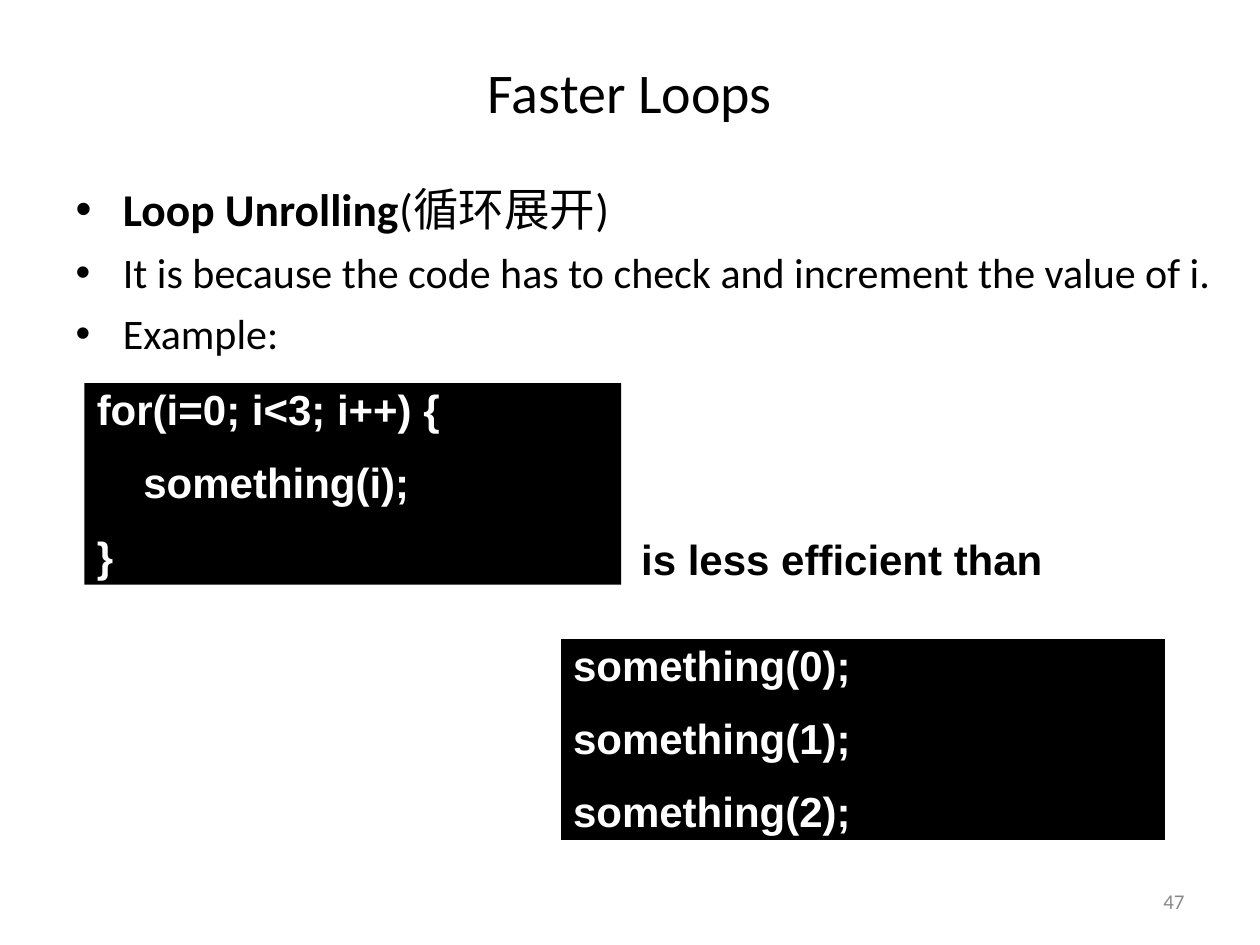
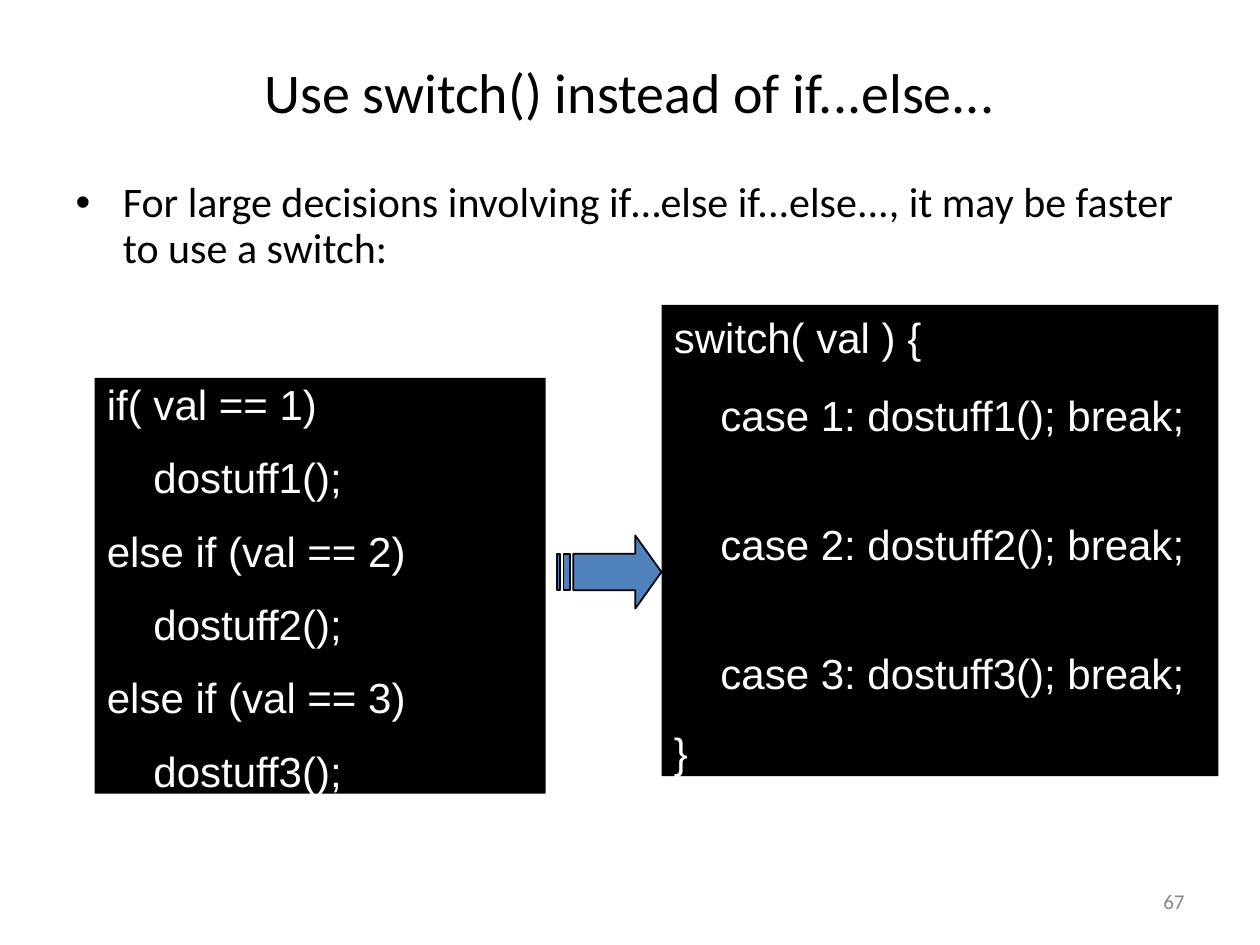
from pptx import Presentation
from pptx import util as u
from pptx.dml.color import RGBColor
from pptx.enum import shapes, text

COLORS = {"ink": "000000", "paper": "FFFFFF", "number": "898989", "arrow": "4F81BD"}

# Shared formats
TITLE = {"name": "Calibri", "size": u.Pt(32), "bold": False}
LEAD = {"name": "Calibri", "size": u.Pt(26), "bold": False}
BODY = {"name": "Calibri", "size": u.Pt(24), "bold": False}
NUMBER = {"name": "Calibri", "size": u.Pt(12), "bold": False}
CODE = {"name": "Arial", "size": u.Pt(24), "bold": False}
BOLD_CODE = CODE | {"bold": True}
CODE_GAP, CASE_GAP = 16, 45

# Content: a line is a list of (words, format) spans
PAGES = [
    {
        "title": "Faster Loops",
        "number": "47",
        "body_at": (0.5, 1.39, 9.23, 5.31),
        "body_spacing": 1.0,
        "body": [
            [("Loop Unrolling", LEAD | {"bold": True}), ("(循环展开)", LEAD)],
            [("It is because the code has to check and increment the value of i.", BODY)],
            [("Example:", BODY)],
        ],
        "code": [
            {"at": (0.67, 3.04, 4.26, 1.6), "format": BOLD_CODE,
             "lines": ["for(i=0; i<3; i++) {", "    something(i);", "}"]},
            {"at": (4.45, 5.07, 4.8, 1.6), "format": BOLD_CODE, "edge": 0.75,
             "lines": [f"something({i});" for i in range(3)]},
        ],
        "remark": ("is less efficient than", (4.99, 4.23, 3.48, 0.46)),
    },
    {
        "title": "Use switch() instead of if...else...",
        "number": "67",
        "body_at": (0.5, 1.39, 9, 1.33),
        "body_spacing": 0.9,
        "body": [[("For large decisions involving if…else if...else..., "
                   "it may be faster to use a switch:", BODY)]],
        "code": [
            {"at": (0.75, 3, 3.58, 3.3), "format": CODE,
             "lines": ["if( val == 1)", "    dostuff1();",
                       "else if (val == 2)", "    dostuff2();",
                       "else if (val == 3)", "    dostuff3();"]},
            {"at": (5.25, 2.42, 4.42, 3.74), "format": CODE, "spacing": 1.0,
             "gaps": [0, CODE_GAP, CASE_GAP, CASE_GAP, CODE_GAP],
             "lines": ["switch( val ) {",
                       *(f"    case {i}: dostuff{i}(); break;" for i in (1, 2, 3)),
                       "}"]},
        ],
        "arrow_at": (4.42, 4.25, 0.83, 0.58),
    },
]

# Striped arrow on a grid of 32 columns and 4 rows
ARROW_GRID = (32, 4)
ARROW_OUTLINES = [
    [(24, 0), (24, 1), (5, 1), (5, 3), (24, 3), (24, 4), (32, 2)],
    [(2, 1), (2, 3), (4, 3), (4, 1)],
    [(0, 1), (0, 3), (1, 3), (1, 1)],
]


def rgb(color):
    return RGBColor.from_string(COLORS[color])


def place(box, at):
    for side, length in zip(("left", "top", "width", "height"), at):
        setattr(box, side, u.Inches(length))


def write(box, lines, color, gaps=None, spacing=None, align=None):
    """Fill a box with lines of formatted spans."""
    frame = box.text_frame
    frame.auto_size = text.MSO_AUTO_SIZE.NONE
    for index, line in enumerate(lines):
        para = frame.paragraphs[0] if index == 0 else frame.add_paragraph()
        para.space_before = u.Pt(gaps[index] if gaps else 0)
        para.line_spacing = spacing
        para.alignment = align
        for words, style in line:
            span = para.add_run()
            span.text = words
            span.font.color.rgb = rgb(color)
            for key, value in style.items():
                setattr(span.font, key, value)


def add_text(page, at):
    return page.shapes.add_textbox(*map(u.Inches, at))


def add_code(page, block):
    box = page.shapes.add_shape(shapes.MSO_SHAPE.RECTANGLE, *map(u.Inches, block["at"]))
    box.shadow.inherit = False
    box.fill.solid()
    box.fill.fore_color.rgb = rgb("ink")
    if "edge" in block:
        box.line.color.rgb = rgb("paper")
        box.line.width = u.Pt(block["edge"])
    else:
        box.line.fill.background()
    box.text_frame.vertical_anchor = text.MSO_ANCHOR.TOP
    lines = [[(line, block["format"])] for line in block["lines"]]
    gaps = block.get("gaps", [0] + [CODE_GAP] * (len(lines) - 1))
    write(box, lines, "paper", gaps, block.get("spacing", 0.9), text.PP_ALIGN.LEFT)


def add_arrow(page, at):
    left, top, width, height = map(u.Inches, at)
    scale = (width / ARROW_GRID[0], height / ARROW_GRID[1])
    builder = page.shapes.build_freeform(*ARROW_OUTLINES[0][0], scale=scale)
    for index, outline in enumerate(ARROW_OUTLINES):
        if index:
            builder.move_to(*outline[0])
        builder.add_line_segments(outline[1:], close=True)
    arrow = builder.convert_to_shape(left, top)
    arrow.shadow.inherit = False
    arrow.fill.solid()
    arrow.fill.fore_color.rgb = rgb("arrow")
    arrow.line.color.rgb = rgb("ink")
    arrow.line.width = u.Pt(1)


def add_page(deck, content):
    page = deck.slides.add_slide(deck.slide_layouts[1])
    title, body = page.placeholders

    # Title, list and page number
    place(title, (0, 0.3, 10, 0.85))
    title.text_frame.vertical_anchor = text.MSO_ANCHOR.MIDDLE
    write(title, [[(content["title"], TITLE)]], "ink", align=text.PP_ALIGN.CENTER)
    place(body, content["body_at"])
    gaps = [0] + [6] * (len(content["body"]) - 1)
    write(body, content["body"], "ink", gaps, content["body_spacing"])
    number = add_text(page, (7.17, 6.95, 2.33, 0.4))
    number.text_frame.word_wrap = True
    number.text_frame.vertical_anchor = text.MSO_ANCHOR.MIDDLE
    write(number, [[(content["number"], NUMBER)]], "number", align=text.PP_ALIGN.RIGHT)

    # Code comparison
    for block in content["code"]:
        add_code(page, block)
    if "remark" in content:
        words, at = content["remark"]
        write(add_text(page, at), [[(words, BOLD_CODE)]], "ink", spacing=0.9)
    if "arrow_at" in content:
        add_arrow(page, content["arrow_at"])


def main():
    deck = Presentation()
    deck.slide_width, deck.slide_height = u.Inches(10), u.Inches(7.5)
    for content in PAGES:
        add_page(deck, content)
    deck.save("out.pptx")


if __name__ == "__main__":
    main()
